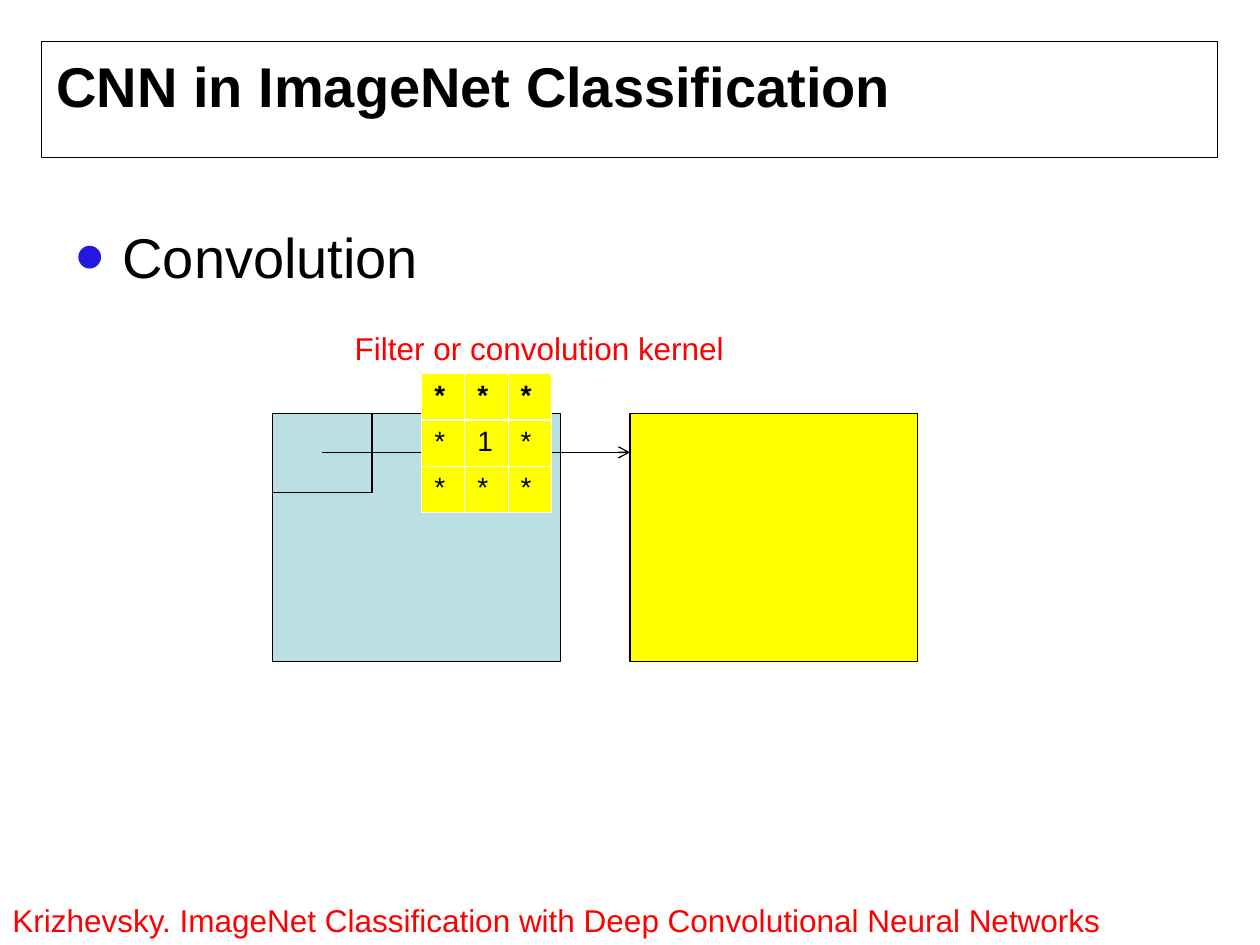
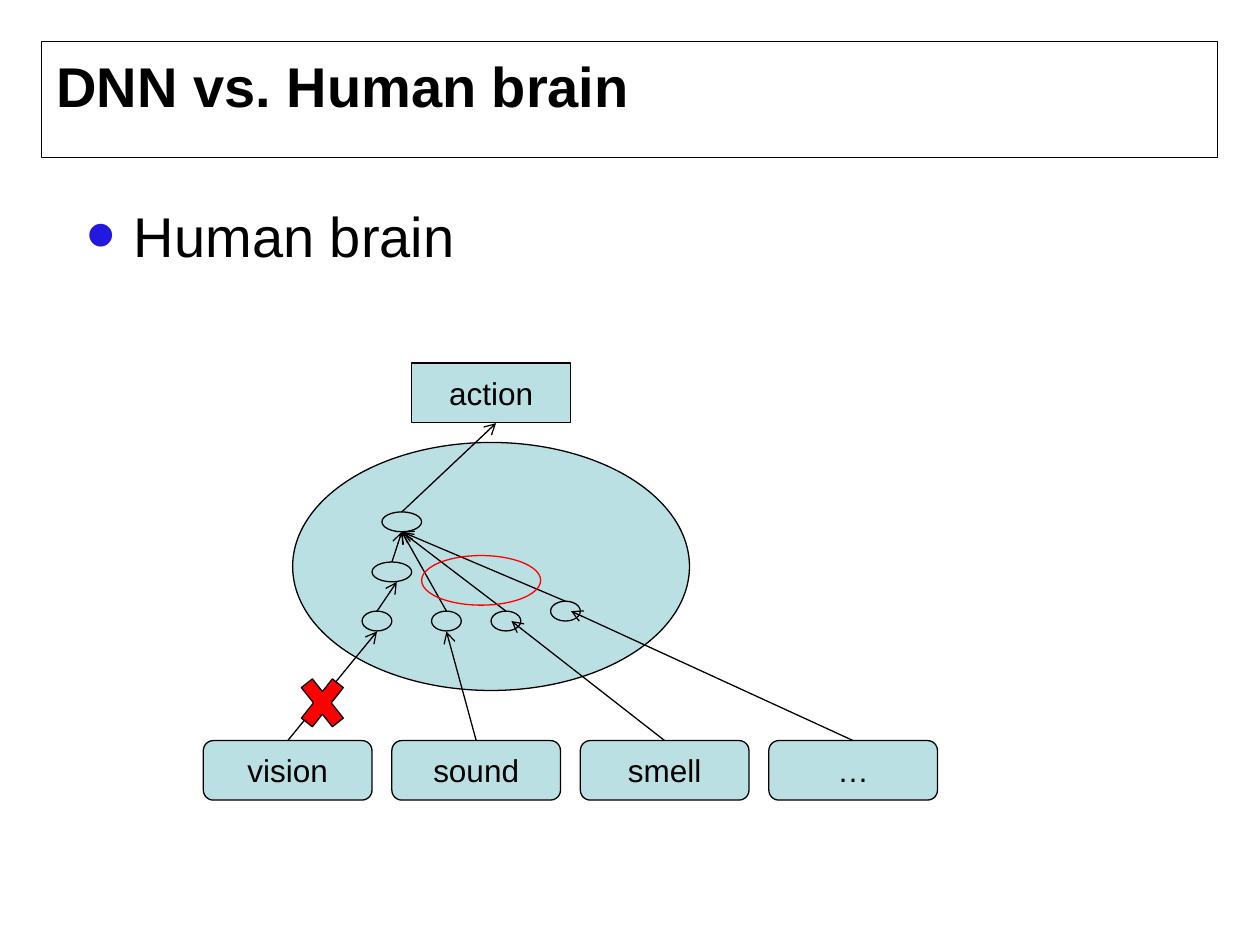
from lxml.etree import SubElement
from pptx import Presentation
from pptx.dml.color import RGBColor
from pptx.enum.shapes import MSO_CONNECTOR, MSO_SHAPE
from pptx.enum.text import MSO_ANCHOR, PP_ALIGN
from pptx.oxml.ns import qn
from pptx.util import Cm, Pt

# Colours and formats
BLACK = RGBColor(0x00, 0x00, 0x00)
WHITE = RGBColor(0xFF, 0xFF, 0xFF)
RED = RGBColor(0xFF, 0x00, 0x00)
YELLOW = RGBColor(0xFF, 0xFF, 0x00)
TEAL = RGBColor(0xBB, 0xE0, 0xE3)
BLUE = RGBColor(0x23, 0x18, 0xDE)

BASE = {"name": "Arial", "size": Pt(18), "bold": False}
TITLE = BASE | {"size": Pt(32), "bold": True}
POINT = BASE | {"size": Pt(32)}
CELL = BASE | {"size": Pt(16)}
HEAD = CELL | {"bold": True}
THIN, THICK = Pt(0.45), Pt(1.47)


def style(para, form, color=BLACK):
    for key, value in form.items():
        setattr(para.font, key, value)
    para.font.color.rgb = color


def add_text(slide, text, box, form=BASE, color=BLACK):
    frame = slide.shapes.add_textbox(*map(Cm, box)).text_frame
    frame.word_wrap = True
    para = frame.paragraphs[0]
    para.text = text
    style(para, form, color)
    return para


def add_point(slide, text, box):
    para = add_text(slide, text, box, POINT)
    props = para._p.get_or_add_pPr()
    props.set("marL", str(Cm(0.95)))
    props.set("indent", str(-Cm(0.95)))
    tint = SubElement(props, qn("a:buClr"))
    SubElement(tint, qn("a:srgbClr"), val=str(BLUE))
    SubElement(props, qn("a:buSzPct"), val="150000")
    SubElement(props, qn("a:buFont"), typeface="Arial")
    SubElement(props, qn("a:buChar"), char="•")
    style(para, POINT)


def add_form(slide, kind, box, fill=TEAL, line=BLACK, text=""):
    shape = slide.shapes.add_shape(kind, *map(Cm, box))
    shape.shadow.inherit = False
    if fill is None:
        shape.fill.background()
    else:
        shape.fill.solid()
        shape.fill.fore_color.rgb = fill
    shape.line.color.rgb = line
    shape.line.width = Pt(0.75)
    if text:
        frame = shape.text_frame
        frame.vertical_anchor = MSO_ANCHOR.MIDDLE
        para = frame.paragraphs[0]
        para.text = text
        para.alignment = PP_ALIGN.CENTER
        style(para, BASE)


def add_arrow(slide, start, end):
    link = slide.shapes.add_connector(
        MSO_CONNECTOR.STRAIGHT, *map(Cm, (*start, *end)))
    link.line.color.rgb = BLACK
    link.line.width = Pt(0.75)
    props = link.element.spPr
    SubElement(props.find(qn("a:ln")), qn("a:tailEnd"), type="arrow")
    SubElement(props, qn("a:effectLst"))


def add_edge(cell, side, width):
    edge = SubElement(cell._tc.get_or_add_tcPr(), qn(f"a:ln{side}"), w=str(width))
    fill = SubElement(edge, qn("a:solidFill"))
    SubElement(fill, qn("a:srgbClr"), val=str(WHITE))


def add_grid(slide, rows, left, top, width, height):
    count = len(rows[0])
    table = slide.shapes.add_table(
        len(rows), count, Cm(left), Cm(top),
        Cm(width * count), Cm(height * len(rows))).table
    for r, row in enumerate(rows):
        for c, text in enumerate(row):
            cell = table.cell(r, c)
            edges = {"L": THIN, "R": THIN,
                     "T": THICK if r == 1 else THIN,
                     "B": THICK if r == 0 else THIN}
            for side, weight in edges.items():
                add_edge(cell, side, weight)
            cell.fill.solid()
            cell.fill.fore_color.rgb = YELLOW
            cell.text = text
            style(cell.text_frame.paragraphs[0], CELL if r else HEAD)


def add_page(deck, title):
    slide = deck.slides.add_slide(deck.slide_layouts[6])
    add_form(slide, MSO_SHAPE.RECTANGLE, (0.84, 0.84, 23.7, 2.33), None)
    add_text(slide, title, (0.89, 0.91, 23.6, 2.21), TITLE)
    return slide


def draw_kernel(deck):
    slide = add_page(deck, "CNN in ImageNet Classification")
    add_point(slide, "Convolution", (1.27, 4.37, 22.86, 12.57))
    add_text(slide, "Krizhevsky. ImageNet Classification with Deep "
             "Convolutional Neural Networks", (0, 18.03, 25.4, 1.02), color=RED)

    # Input map, its window, and the kernel
    add_form(slide, MSO_SHAPE.FLOWCHART_PROCESS, (5.5, 8.33, 5.8, 5))
    add_form(slide, MSO_SHAPE.FLOWCHART_PROCESS, (5.5, 8.33, 2, 1.6))
    add_arrow(slide, (6.5, 9.12), (12.7, 9.12))
    add_grid(slide, ["***", "*1*", "***"], 8.5, 7.53, 0.87, 0.93)

    # Output map
    add_form(slide, MSO_SHAPE.FLOWCHART_PROCESS, (12.7, 8.33, 5.8, 5), YELLOW)
    add_text(slide, "Filter or convolution kernel", (6.9, 6.5, 9, 1.02), color=RED)


def draw_brain(deck):
    slide = add_page(deck, "DNN vs. Human brain")
    add_point(slide, "Human brain", (1.5, 3.93, 22.86, 12.57))

    # Brain and neurons
    add_form(slide, MSO_SHAPE.OVAL, (5.9, 8.92, 8, 5))
    cells = [(7.6, 12.32), (9, 12.32), (10.2, 12.32), (11.4, 12.12)]
    for mid, top in cells:
        add_form(slide, MSO_SHAPE.OVAL, (mid - 0.3, top, 0.6, 0.4))
    for left, top in [(7.5, 11.33), (7.7, 10.32)]:
        add_form(slide, MSO_SHAPE.OVAL, (left, top, 0.8, 0.4))

    # Senses and their arrows
    senses = ["vision", "sound", "smell", "…"]
    ends = [(7.6, 12.73), (9, 12.73), (10.31, 12.52), (11.51, 12.32)]
    for i, (sense, end) in enumerate(zip(senses, ends)):
        left = 4.1 + 3.8 * i
        add_arrow(slide, (left + 1.7, 14.93), end)
        add_form(slide, MSO_SHAPE.ROUNDED_RECTANGLE,
                 (left, 14.93, 3.4, 1.2), text=sense)

    # Paths to the action
    hub = (8.1, 10.72)
    add_form(slide, MSO_SHAPE.RECTANGLE, (8.3, 7.32, 3.2, 1.2), text="action")
    add_arrow(slide, cells[0], (8, 11.73))
    for start in [(7.9, 11.33), *cells[1:]]:
        add_arrow(slide, start, hub)
    add_arrow(slide, (8.1, 10.32), (10, 8.53))

    # Lost sense and the region that adapts
    add_form(slide, MSO_SHAPE.MATH_MULTIPLY, (5.9, 13.41, 1.2, 1.52), RED)
    add_form(slide, MSO_SHAPE.OVAL, (8.5, 11.2, 2.4, 1), None, RED)


def main():
    deck = Presentation()
    deck.slide_width, deck.slide_height = Cm(25.4), Cm(19.05)
    draw_kernel(deck)
    draw_brain(deck)
    deck.save("out.pptx")


if __name__ == "__main__":
    main()
